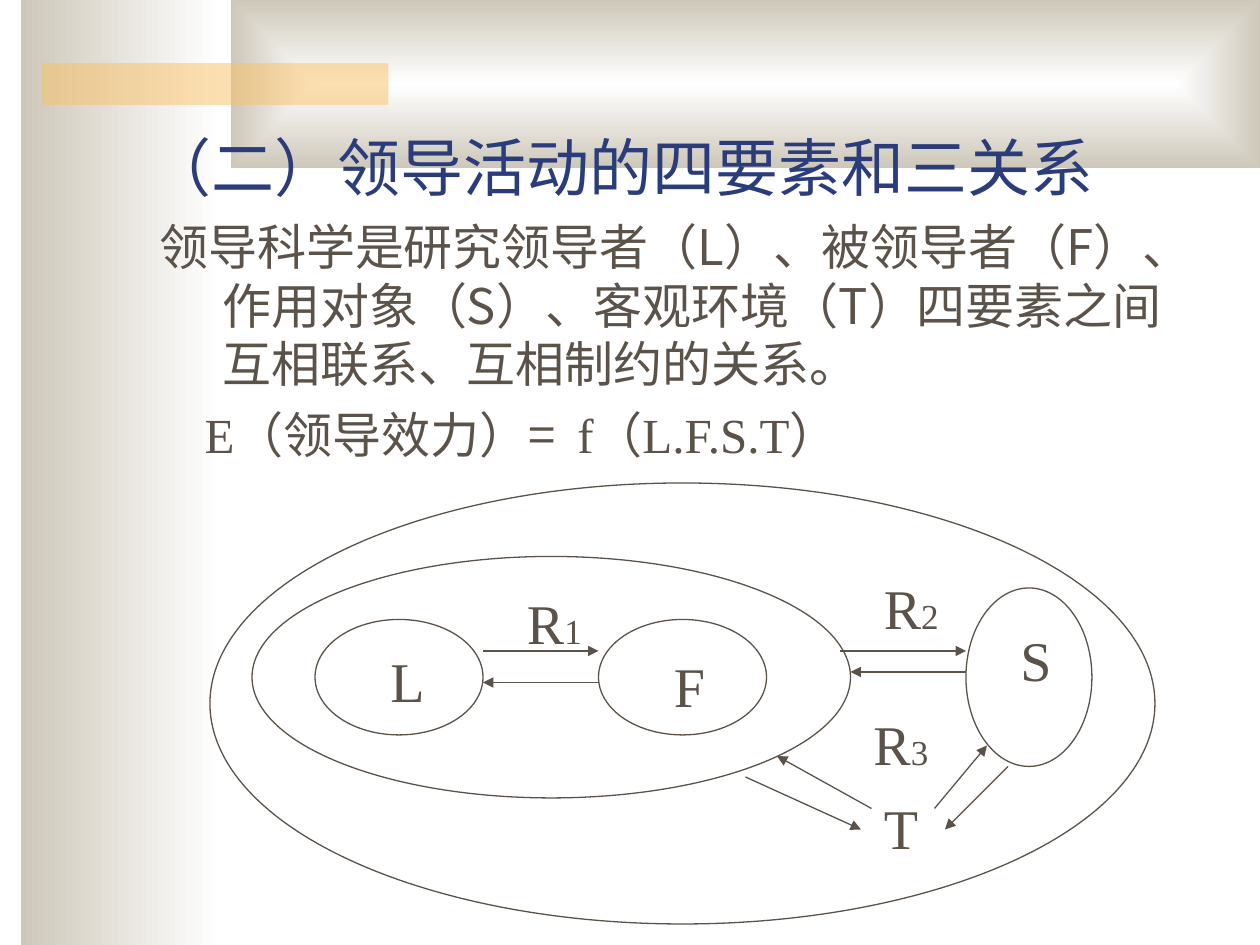
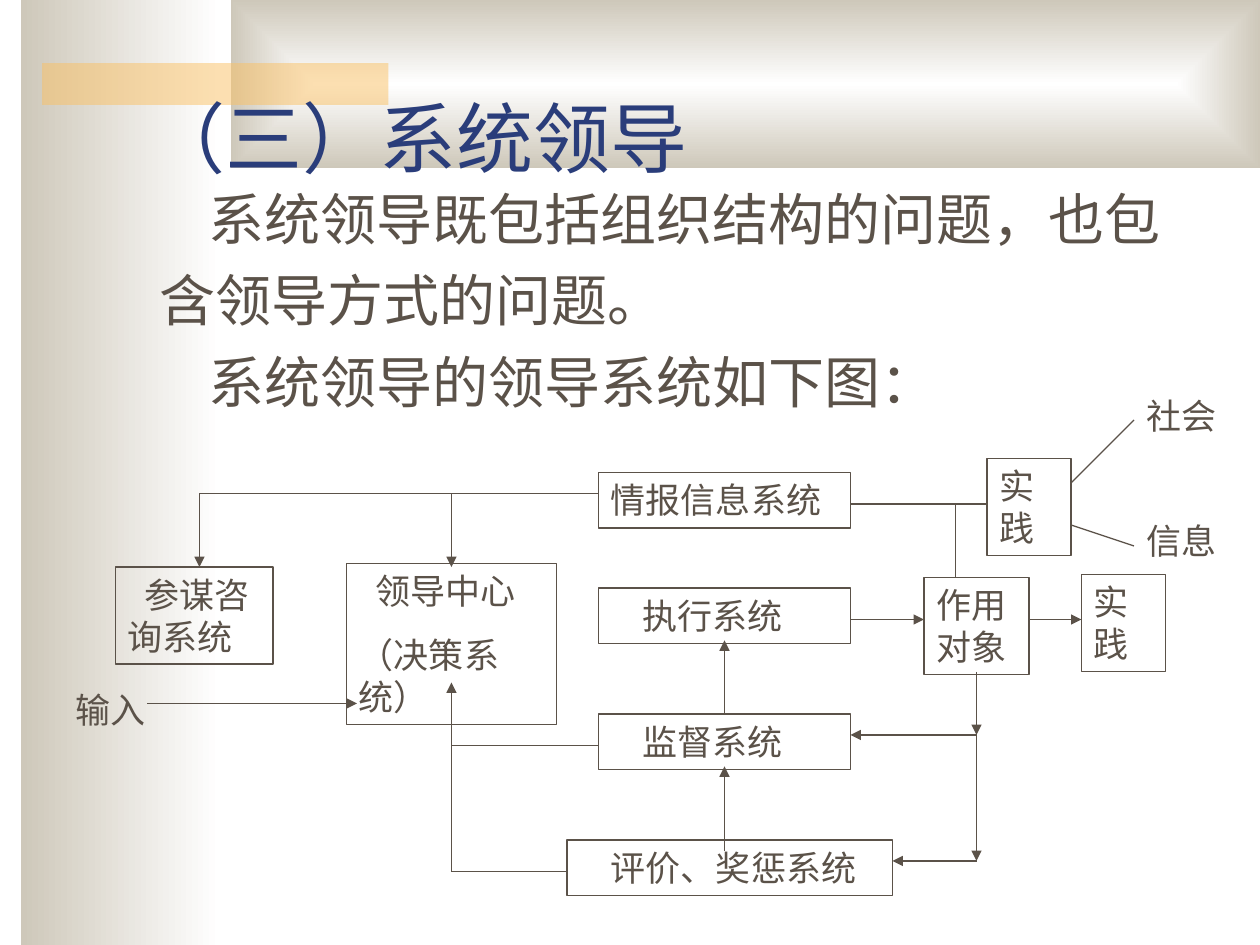
from lxml.etree import SubElement
from pptx import Presentation
from pptx.dml.color import RGBColor
from pptx.enum.shapes import MSO_CONNECTOR, MSO_SHAPE
from pptx.enum.text import MSO_ANCHOR, PP_ALIGN
from pptx.oxml.ns import qn
from pptx.util import Inches, Pt

COLORS = {"title": "2A3D7A", "ink": "5B5249", "white": "FFFFFF", "stone": "CEC8BA", "amber": "FAC164"}
LATIN, CJK = "Times New Roman", "Noto Sans CJK JP"


def color(name):
    """Look up a palette colour."""
    return RGBColor.from_string(COLORS[name])


def place(*lengths):
    """Convert lengths, snapping those next to the twelfth-inch grid onto it."""
    snapped = [round(length * 12) / 12 for length in lengths]
    return [Inches(grid if abs(grid - length) < 0.01 else length) for grid, length in zip(snapped, lengths)]


def style(paragraph, size, ink="ink", latin=LATIN, margin=0, indent=0, before=0):
    """Set the font, indents and spacing of a paragraph."""
    props = paragraph._p.get_or_add_pPr()
    props.set("marL", str(Inches(margin)))
    props.set("indent", str(Inches(indent)))
    props.set("hangingPunct", "0")
    paragraph.alignment = PP_ALIGN.LEFT
    paragraph.space_before = Pt(before)
    font = paragraph.font
    font.size, font.name = Pt(size), latin
    font.color.rgb = color(ink)
    SubElement(props.find(qn("a:defRPr")), qn("a:ea"), typeface=CJK)


def add_text_frame(slide, left, top, width, height):
    """Add a wrapping text box and return its frame."""
    frame = slide.shapes.add_textbox(*place(left, top, width, height)).text_frame
    frame.word_wrap = True
    return frame


def add_outline(slide, kind, left, top, width, height, fill=None):
    """Add a thinly outlined shape."""
    shape = slide.shapes.add_shape(kind, *place(left, top, width, height))
    shape.shadow.inherit = False
    shape.line.color.rgb = color("ink")
    shape.line.width = Pt(0.75)
    if fill:
        shape.fill.solid()
        shape.fill.fore_color.rgb = color(fill)
    else:
        shape.fill.background()
    return shape


def add_lines(slide, left, top, routes, arrow=True):
    """Draw straight lines along routes given relative to a corner."""
    for x1, y1, x2, y2 in routes:
        ends = place(left + x1, top + y1, left + x2, top + y2)
        line = slide.shapes.add_connector(MSO_CONNECTOR.STRAIGHT, *ends)
        line.line.color.rgb = color("ink")
        line.line.width = Pt(0.75)
        if arrow:
            SubElement(line.line._get_or_add_ln(), qn("a:tailEnd"), type="triangle")
        SubElement(line._element.spPr, qn("a:effectLst"))


def add_band(slide, left, top, width, height):
    """Add a borderless decorative rectangle."""
    band = slide.shapes.add_shape(MSO_SHAPE.RECTANGLE, *place(left, top, width, height))
    band.shadow.inherit = False
    band.line.fill.background()
    return band


def add_gradient_band(slide, *box):
    """Add a band fading from white to stone and return its gradient element."""
    band = add_band(slide, *box)
    band.fill.gradient()
    band.fill.gradient_angle = 180
    for stop, name in zip(band.fill.gradient_stops, ("white", "stone")):
        stop.color.rgb = color(name)
    return band._element.spPr.find(qn("a:gradFill"))


def add_backdrop(slide):
    """Add the side band, the top panel and the amber bar."""
    add_gradient_band(slide, 0.17, 0, 1.58, 7.5)
    gradient = add_gradient_band(slide, 1.83, 0, 8.17, 1.33)
    gradient.remove(gradient.find(qn("a:lin")))
    center = SubElement(gradient, qn("a:path"), path="rect")
    SubElement(center, qn("a:fillToRect"), l="50000", t="50000", r="50000", b="50000")
    bar = add_band(slide, 0.33, 0.5, 2.75, 0.33)
    bar.fill.solid()
    bar.fill.fore_color.rgb = color("amber")
    amber = bar._element.spPr.find(qn("a:solidFill"))[0]
    SubElement(amber, qn("a:alpha"), val="50000")


def start_slide(prs, title, size, title_height):
    """Add a blank slide with the backdrop and a title."""
    slide = prs.slides.add_slide(prs.slide_layouts[6])
    add_backdrop(slide)
    frame = add_text_frame(slide, 1.08, 0.83, 8.5, title_height)
    frame.vertical_anchor = MSO_ANCHOR.BOTTOM
    frame.text = title
    style(frame.paragraphs[0], size, "title")
    return slide


def add_elements_text(slide, left, top, width, height):
    """Add the definition and the formula of leadership."""
    frame = add_text_frame(slide, left, top, width, height)
    frame.text = ("领导科学是研究领导者（L）、被领导者（F）、作用对象（S）、"
                  "客观环境（T）四要素之间互相联系、互相制约的关系。")
    style(frame.paragraphs[0], 28, latin=CJK, margin=0.5, indent=-0.5)
    formula = frame.add_paragraph()
    parts = [("E", LATIN, 0), ("（领导效力）=", CJK, 0), (" ", CJK, 6.3), ("f（L.F.S.T）", LATIN, 0)]
    for part, latin, tracking in parts:
        run = formula.add_run()
        run.text = part
        if latin != LATIN:
            run.font.name = latin
        if tracking:
            run._r.get_or_add_rPr().set("spc", str(round(tracking * 100)))
    style(formula, 28, margin=0.5, indent=-0.14, before=7)


def add_relations_diagram(slide, left, top):
    """Draw the nested ellipses, their arrows and their labels."""
    ellipses = [
        (0.83, 1.09, 1.33, 0.92, "white"),
        (3.08, 1.09, 1.33, 0.92, "white"),
        (6, 0.84, 1, 1.42, "white"),
        (0.33, 0.59, 4.75, 1.92, None),
        (0, 0, 7.5, 3.5, None),
    ]
    for x, y, width, height, fill in ellipses:
        add_outline(slide, MSO_SHAPE.OVAL, left + x, top + y, width, height, fill)
    add_lines(slide, left, top, [
        (2.16, 1.34, 3.08, 1.34), (3.08, 1.59, 2.16, 1.59),
        (5, 1.34, 6, 1.34), (6, 1.5, 5.08, 1.5),
        (4.25, 2.34, 5.16, 2.75), (5.25, 2.59, 4.5, 2.17),
        (5.75, 2.59, 6.16, 2.09), (6.33, 2.25, 5.83, 2.75),
    ])
    labels = [
        ("L", "", 1.33, 1.25), ("F", "", 3.58, 1.29), ("S", "", 6.33, 1.09), ("T", "", 5.25, 2.42),
        ("R", "1", 2.41, 0.79), ("R", "2", 5.25, 0.67), ("R", "3", 5.16, 1.75),
    ]
    for letter, number, x, y in labels:
        label = add_text_frame(slide, left + x, top + y, 0.92, 0.64).paragraphs[0]
        label.add_run().text = letter
        if number:
            index = label.add_run()
            index.text = number
            index.font.size = Pt(20)
        style(label, 32)


def add_system_text(slide, left, top, width, height):
    """Add the introduction to the leadership system."""
    frame = add_text_frame(slide, left, top, width, height)
    lines = [("系统领导既包括组织结构的问题，也包", -0.11), ("含领导方式的问题。", -0.5),
             ("系统领导的领导系统如下图：", -0.11)]
    frame.text = "\n".join(text for text, _ in lines)
    for position, (paragraph, (_, indent)) in enumerate(zip(frame.paragraphs, lines)):
        style(paragraph, 32, latin=CJK, margin=0.5, indent=indent, before=8 if position else 0)


def add_system_diagram(slide, left, top):
    """Draw the flow chart of the leadership system."""
    systems = [
        (["情报信息系统"], 4.25, 0.67, 2, 0.44, 0),
        (["执行系统"], 4.25, 1.59, 2, 0.44, 0.25),
        (["监督系统"], 4.25, 2.59, 2, 0.44, 0.25),
        (["评价、奖惩系统"], 4, 3.59, 2.58, 0.44, 0.25),
        (["领导中心", "（决策系统）"], 2.25, 1.39, 1.67, 1.28, 0.13),
        (["参谋咨询系统"], 0.42, 1.42, 1.25, 0.77, 0.13),
        (["实践"], 7.33, 0.56, 0.67, 0.77, 0),
        (["作用对象"], 6.83, 1.5, 0.83, 0.77, 0),
        (["实践"], 8.08, 1.48, 0.67, 0.77, 0),
    ]
    for lines, x, y, width, height, indent in systems:
        frame = add_outline(slide, MSO_SHAPE.RECTANGLE, left + x, top + y, width, height).text_frame
        frame.word_wrap = True
        frame.vertical_anchor = MSO_ANCHOR.TOP
        frame.text = "\n".join(lines)
        for position, paragraph in enumerate(frame.paragraphs):
            style(paragraph, 20, indent=0 if position else indent, before=12.5 if position else 0)
    add_lines(slide, left, top, [
        (1.08, 0.84, 4.25, 0.84), (6.25, 0.92, 7.33, 0.92), (7.08, 0.92, 7.08, 1.5),
        (3.08, 2.84, 4.25, 2.84), (3.08, 3.84, 4, 3.84),
        (8, 0.75, 8.5, 0.25), (8, 1.09, 8.5, 1.25),
    ], arrow=False)
    add_lines(slide, left, top, [
        (3.08, 3.84, 3.08, 2.34), (1.08, 0.84, 1.08, 1.42), (3.08, 0.84, 3.08, 1.42),
        (0.67, 2.5, 2.33, 2.5), (5.25, 3.67, 5.25, 3), (5.25, 2.59, 5.25, 2),
        (6.25, 1.84, 6.83, 1.84), (7.67, 1.84, 8.08, 1.84),
        (7.25, 2.25, 7.25, 2.75), (7.25, 2.75, 7.25, 3.75),
        (7.25, 2.75, 6.25, 2.75), (7.25, 3.75, 6.58, 3.75),
    ])
    for text, x, y in (("输入", 0, 2.34), ("社会", 8.5, 0), ("信息", 8.5, 0.99)):
        frame = add_text_frame(slide, left + x, top + y, 1, 0.44)
        frame.text = text
        style(frame.paragraphs[0], 20)


def main():
    """Build and save both slides."""
    prs = Presentation()
    prs.slide_width, prs.slide_height = Inches(10), Inches(7.5)
    elements = start_slide(prs, "（二）领导活动的四要素和三关系", 36, 0.83)
    add_elements_text(elements, 1.17, 1.67, 8.5, 5.83)
    add_relations_diagram(elements, 1.67, 3.83)
    system = start_slide(prs, "（三）系统领导", 44, 0.67)
    add_system_text(system, 1.17, 1.42, 8.5, 6.08)
    add_system_diagram(system, 0.5, 3.08)
    prs.save("out.pptx")


if __name__ == "__main__":
    main()
